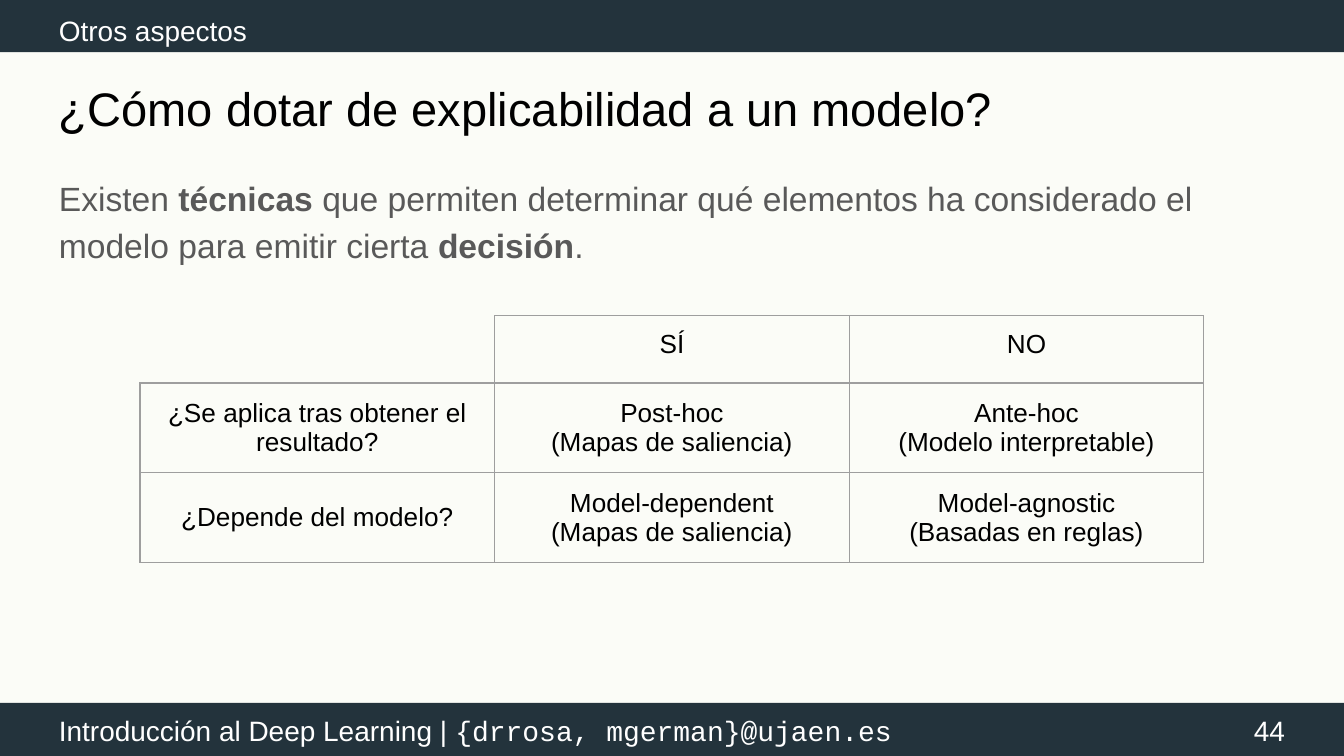
"""Builds a slide on ways to make a model explainable, with a table of techniques."""
from lxml import etree
from pptx import Presentation
from pptx import util as u
from pptx.dml import color
from pptx.enum import shapes, text
from pptx.oxml import ns

Pt = u.Pt
LEFT, MID, RIGHT = text.PP_ALIGN.LEFT, text.PP_ALIGN.CENTER, text.PP_ALIGN.RIGHT
TOP, HALF = text.MSO_ANCHOR.TOP, text.MSO_ANCHOR.MIDDLE


def paint(code):
    return color.RGBColor.from_string(code)


class Deck:
    ink, dark, light, gray, rule = "000000", "23333C", "FFFFFF", "595959", "9E9E9E"
    paper, face, mono, pad = "FBFCF7", "Arial", "Courier New", 7.2

    def __init__(self, wide, high):
        self.show = Presentation()
        self.show.slide_width, self.show.slide_height = Pt(wide), Pt(high)
        self.slide = self.show.slides.add_slide(self.show.slide_layouts[6])
        fill = self.slide.background.fill
        fill.solid()
        fill.fore_color.rgb = paint(self.paper)

    def style(self, run, size, tint, bold=False, face=None):
        font = run.font
        font.size, font.bold, font.name = Pt(size), bold, face or self.face
        font.color.rgb = paint(tint)

    def inset(self, item):
        item.margin_left = item.margin_right = Pt(self.pad)
        item.margin_top = item.margin_bottom = Pt(self.pad)

    def band(self, x, y, w, h):
        bar = self.slide.shapes.add_shape(
            shapes.MSO_SHAPE.RECTANGLE, Pt(x), Pt(y), Pt(w), Pt(h))
        bar.shadow.inherit = False
        bar.fill.solid()
        bar.fill.fore_color.rgb = paint(self.dark)
        bar.line.fill.background()

    def label(self, x, y, w, h, parts, size, tint, align=LEFT, anchor=TOP, space=None):
        frame = self.slide.shapes.add_textbox(Pt(x), Pt(y), Pt(w), Pt(h)).text_frame
        frame.word_wrap, frame.vertical_anchor = True, anchor
        self.inset(frame)
        para = frame.paragraphs[0]
        para.alignment = align
        if space:
            para.line_spacing = space
        for words, look in parts:
            run = para.add_run()
            run.text = words
            self.style(run, size, tint, **look)

    def edge(self, cell, sides):
        props = cell._tc.get_or_add_tcPr()
        for side in "LRTB":
            line = etree.SubElement(props, ns.qn("a:ln" + side), w=str(Pt(0.75)))
            if side in sides:
                solid = etree.SubElement(line, ns.qn("a:solidFill"))
                etree.SubElement(solid, ns.qn("a:srgbClr"), val=self.rule)
            else:
                etree.SubElement(line, ns.qn("a:noFill"))

    def grid(self, x, y, wide, highs, rows, size):
        count = len(rows[0])
        table = self.slide.shapes.add_table(
            len(rows), count, Pt(x), Pt(y), Pt(wide * count), Pt(sum(highs))).table
        table.first_row = table.horz_banding = False
        for col in table.columns:
            col.width = Pt(wide)
        for r, row in enumerate(rows):
            table.rows[r].height = Pt(highs[r])
            for c, words in enumerate(row):
                cell = table.cell(r, c)
                self.inset(cell)
                cell.vertical_anchor = HALF if r else TOP
                self.edge(cell, "LRTB" if words else "RB")
                cell.fill.background()
                cell.text_frame.text = words
                for para in cell.text_frame.paragraphs:
                    para.alignment = MID
                    for run in para.runs:
                        self.style(run, size, self.ink)

    def save(self):
        self.show.save("out.pptx")


def main():
    deck = Deck(720, 405)
    plain, bold = {}, {"bold": True}
    for y in (376.5, -1.5):
        deck.band(-1.5, y, 723, 29.5)
    deck.label(24.5, 375, 518, 32.5, [
        ("Introducción al Deep Learning | ", plain),
        ("{drrosa, mgerman}@ujaen.es", {"face": deck.mono})], 15, deck.light)
    deck.label(24.5, 35.3, 671, 45.4,
               [("¿Cómo dotar de explicabilidad a un modelo?", plain)], 25.2, deck.ink)
    deck.label(652.3, 376, 43.2, 31, [("44", plain)], 15, deck.light, RIGHT, HALF)
    deck.label(24.5, -2.9, 581, 32.4,
               [("Otros aspectos", plain)], 15, deck.light, space=1.15)
    deck.label(24.5, 85, 671, 269, [
        ("Existen ", plain), ("técnicas ", bold),
        ("que permiten determinar qué elementos ha considerado el modelo "
         "para emitir cierta ", plain),
        ("decisión", bold), (".", plain)], 18, deck.gray, space=1.15)
    deck.grid(75, 169.2, 190, [34.5, 45.75, 45.75], [
        ["", "SÍ", "NO"],
        ["¿Se aplica tras obtener el resultado?", "Post-hoc\n(Mapas de saliencia)",
         "Ante-hoc\n(Modelo interpretable)"],
        ["¿Depende del modelo?", "Model-dependent\n(Mapas de saliencia)",
         "Model-agnostic\n(Basadas en reglas)"]], 14)
    deck.save()


if __name__ == "__main__":
    main()
